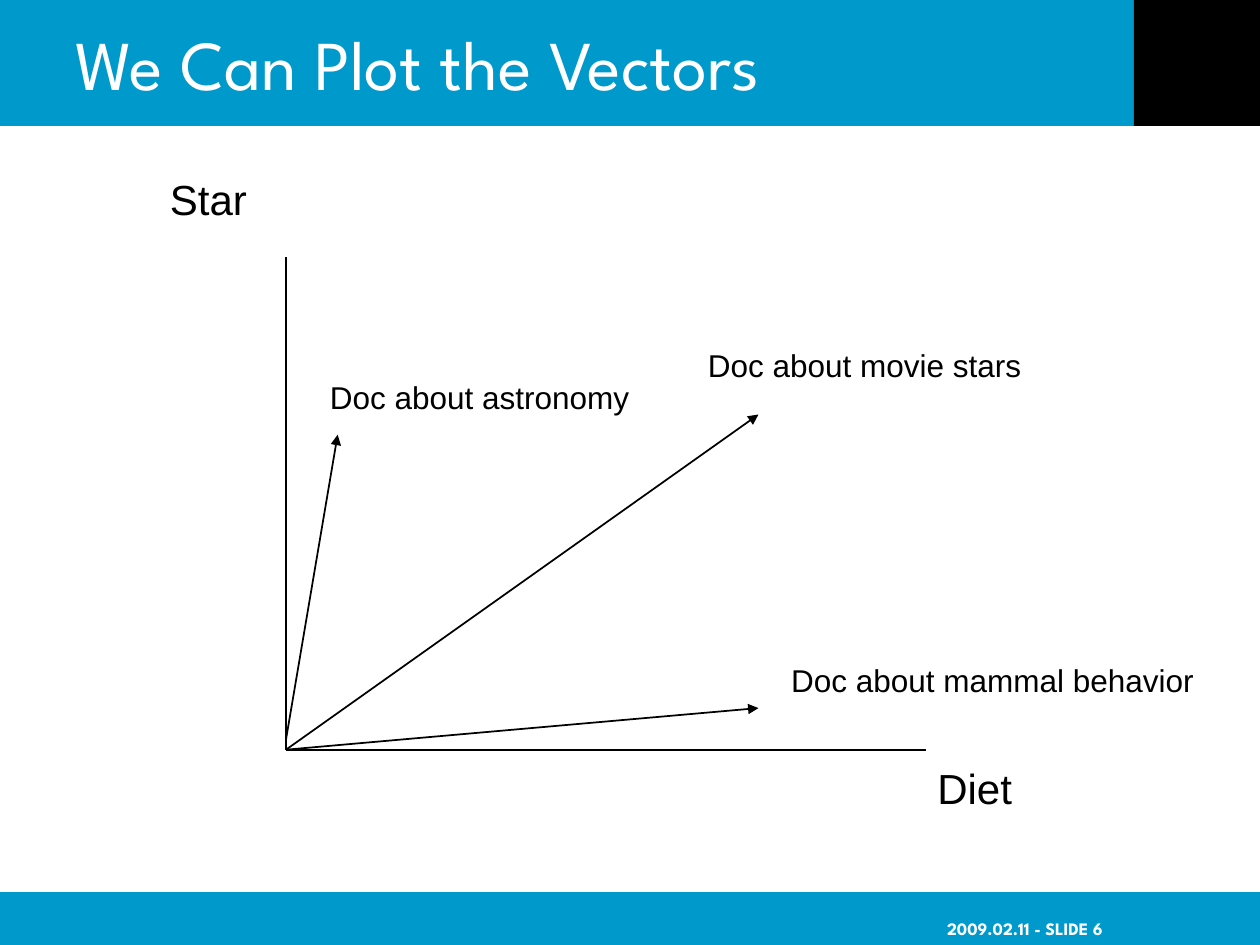
from dataclasses import dataclass

from lxml import etree
from pptx import Presentation
from pptx.dml.color import RGBColor
from pptx.enum import shapes, text
from pptx.oxml.ns import qn
from pptx.util import Inches, Pt


@dataclass(frozen=True)
class Theme:
    blue: RGBColor = RGBColor(0x00, 0x99, 0xCC)
    black: RGBColor = RGBColor(0, 0, 0)
    white: RGBColor = RGBColor(0xFF, 0xFF, 0xFF)
    heading_font: str = "League Spartan"
    body_font: str = "Arial"
    title_size: int = 40
    axis_size: int = 24
    label_size: int = 18
    footer_size: int = 10
    line_width: float = 1


@dataclass(frozen=True)
class Band:
    left: float
    top: float
    width: float
    height: float
    color: RGBColor


@dataclass(frozen=True)
class Line:
    start: tuple[float, float]
    end: tuple[float, float]
    arrow: bool = False


@dataclass(frozen=True)
class Label:
    words: str
    left: float
    top: float
    width: float
    height: float
    size: int
    font: str = Theme.body_font
    color: RGBColor = Theme.black
    bold: bool = False
    anchor: text.MSO_ANCHOR = text.MSO_ANCHOR.TOP
    align: text.PP_ALIGN = text.PP_ALIGN.LEFT
    left_inset: float = 0.1
    right_inset: float = 0  # spare room keeps each label on one line


THEME = Theme()
ORIGIN = (2.27, 5.95)

BANDS = [
    Band(0, 0, 10, 1, THEME.blue),
    Band(0, 7.08, 10, 0.42, THEME.blue),
    Band(9, 0, 1, 1, THEME.black),
]

HEADINGS = [
    Label("2009.02.11 - SLIDE 6", 7.42, 7.08, 2.08, 0.42, THEME.footer_size,
          THEME.heading_font, THEME.white, bold=True,
          anchor=text.MSO_ANCHOR.BOTTOM, align=text.PP_ALIGN.RIGHT,
          left_inset=0, right_inset=0.75),
    Label("We Can Plot the Vectors", 0.5, 0, 8.5, 1, THEME.title_size,
          THEME.heading_font, THEME.white, anchor=text.MSO_ANCHOR.MIDDLE),
]

AXES = [Line((2.27, 2.04), ORIGIN), Line(ORIGIN, (7.35, 5.95))]

VECTORS = [
    Line((2.27, 5.87), (2.68, 3.45), arrow=True),
    Line(ORIGIN, (6.02, 5.62), arrow=True),
    Line(ORIGIN, (6.02, 3.29), arrow=True),
]

PLOT_LABELS = [
    Label("Star", 1.25, 1.33, 0.81, 0.5, THEME.axis_size),
    Label("Diet", 7.34, 6, 0.79, 0.5, THEME.axis_size),
    Label("Doc about astronomy", 2.52, 2.95, 2.57, 0.4, THEME.label_size),
    Label("Doc about movie stars", 5.52, 2.7, 2.68, 0.4, THEME.label_size),
    Label("Doc about mammal behavior", 6.18, 5.2, 3.39, 0.4, THEME.label_size),
]


def draw_band(slide, band: Band) -> None:
    sp = slide.shapes.add_shape(
        shapes.MSO_SHAPE.RECTANGLE, Inches(band.left), Inches(band.top),
        Inches(band.width), Inches(band.height))
    sp.shadow.inherit = False
    sp.fill.solid()
    sp.fill.fore_color.rgb = band.color
    sp.line.fill.background()


def draw_line(slide, line: Line) -> None:
    cxn = slide.shapes.add_connector(
        shapes.MSO_CONNECTOR.STRAIGHT,
        *(Inches(v) for v in line.start + line.end))
    cxn.line.color.rgb = THEME.black
    cxn.line.width = Pt(THEME.line_width)
    sp_pr = cxn._element.spPr
    if line.arrow:
        etree.SubElement(sp_pr.find(qn("a:ln")), qn("a:tailEnd"),
                         type="triangle")
    etree.SubElement(sp_pr, qn("a:effectLst"))


def draw_label(slide, label: Label) -> None:
    sp = slide.shapes.add_textbox(
        Inches(label.left), Inches(label.top),
        Inches(label.width), Inches(label.height))
    tf = sp.text_frame
    tf.word_wrap = True
    tf.vertical_anchor = label.anchor
    tf.margin_left = Inches(label.left_inset)
    tf.margin_right = Inches(label.right_inset)
    p = tf.paragraphs[0]
    p.text = label.words
    p.alignment = label.align
    p.font.name = label.font
    p.font.size = Pt(label.size)
    p.font.bold = label.bold
    p.font.color.rgb = label.color


def main() -> None:
    prs = Presentation()
    prs.slide_width, prs.slide_height = Inches(10), Inches(7.5)
    slide = prs.slides.add_slide(prs.slide_layouts[6])

    # Header and footer
    for band in BANDS:
        draw_band(slide, band)
    for heading in HEADINGS:
        draw_label(slide, heading)

    # Vector plot
    for line in AXES + VECTORS:
        draw_line(slide, line)
    for label in PLOT_LABELS:
        draw_label(slide, label)

    prs.save("out.pptx")


if __name__ == "__main__":
    main()
